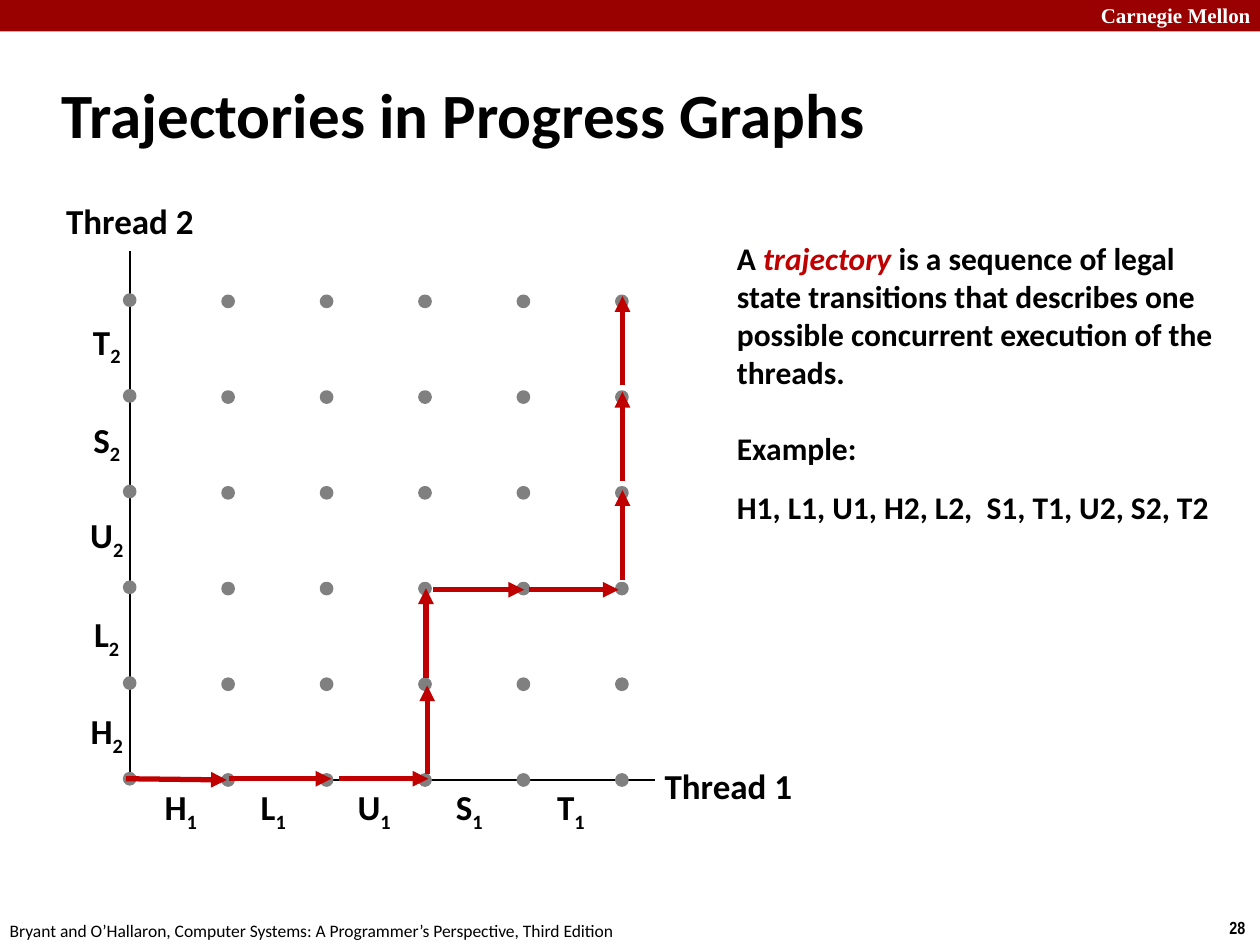
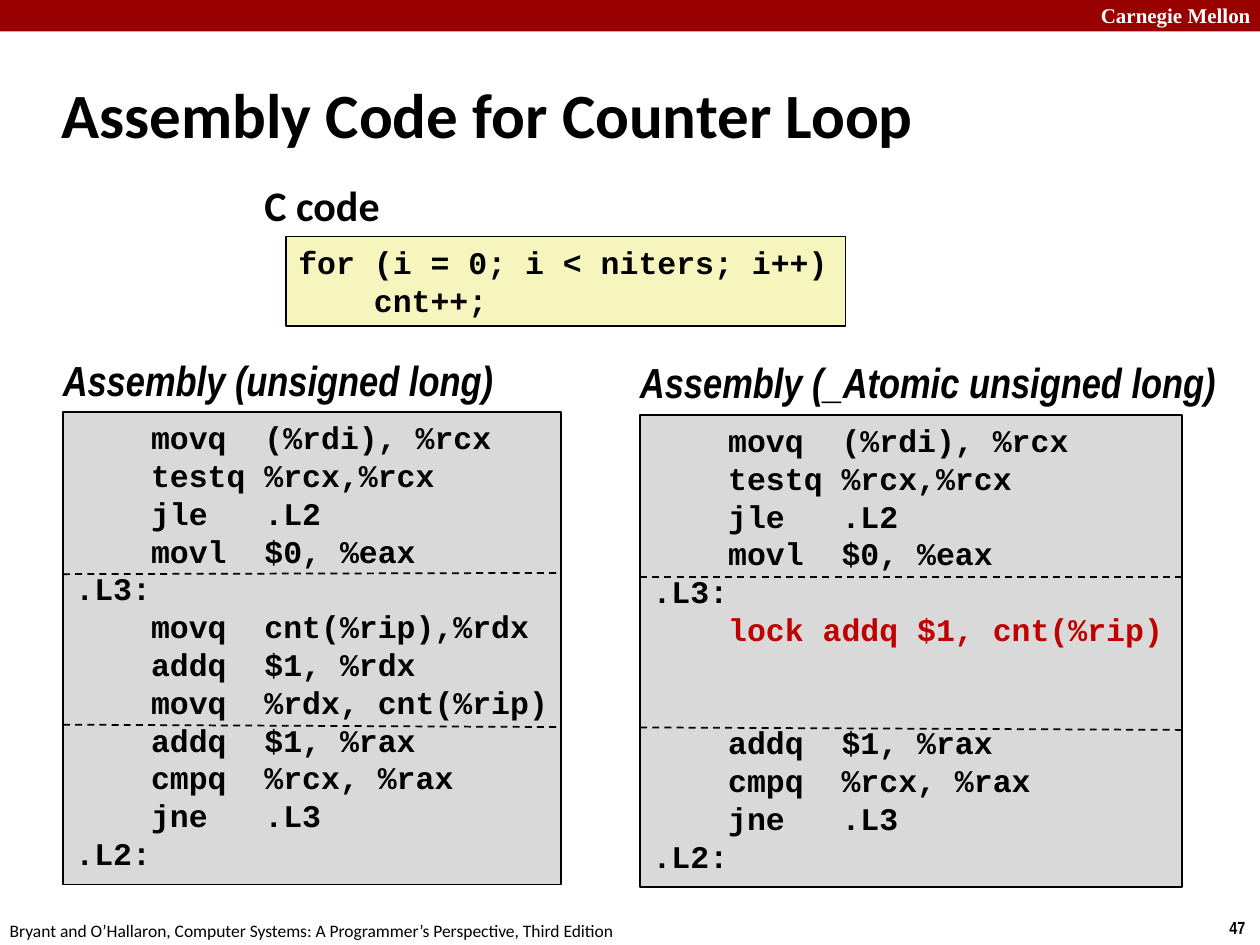
"""Build two lecture slides: a progress graph and a counter loop in assembly."""
from lxml import etree
from pptx import Presentation
from pptx import util as u
from pptx.dml import color
from pptx.enum import dml, shapes, text
from pptx.oxml import ns

Pt = u.Pt
rgb = color.RGBColor.from_string
RED, BLACK, GRAY, DOT = "C00000", "000000", "D9D9D9", "808080"
MID, LEFT, MONO = text.MSO_ANCHOR.MIDDLE, text.PP_ALIGN.LEFT, "Courier New"


def put(sld, box, lines=(), size=18, face="Calibri", ink=BLACK, bold=True, slant=False,
        wrap=False, anchor=MID, align=LEFT, fill=None, edge=None, thick=1, form="RECTANGLE"):
    """Add a text box, or a filled shape, holding lines made of lists of runs."""
    area = [Pt(n) for n in box]
    if fill:
        shape = sld.shapes.add_shape(shapes.MSO_SHAPE[form], *area)
        shape.shadow.inherit = False
        shape.fill.solid()
        shape.fill.fore_color.rgb = rgb(fill)
        if edge:
            shape.line.color.rgb = rgb(edge)
            shape.line.width = Pt(thick)
        else:
            shape.line.fill.background()
    else:
        shape = sld.shapes.add_textbox(*area)
    frame = shape.text_frame
    frame.word_wrap = wrap
    frame.vertical_anchor = anchor
    for i, line in enumerate(lines):
        para = frame.add_paragraph() if i else frame.paragraphs[0]
        para.alignment = align
        font = para.font
        font.size, font.name, font.bold, font.italic = Pt(size), face, bold, slant
        font.color.rgb = rgb(ink)
        if face == MONO:
            para.line_spacing = Pt(21.6)
        for part in line:
            para.add_run().text = part
    return frame.paragraphs


def link(sld, ends, ink=BLACK, width=1, dash=False, arrow=False):
    """Draw a straight line, dashed or with an arrowhead if asked."""
    line = sld.shapes.add_connector(shapes.MSO_CONNECTOR.STRAIGHT, *[Pt(n) for n in ends])
    line.line.color.rgb = rgb(ink)
    line.line.width = Pt(width)
    if dash:
        line.line.dash_style = dml.MSO_LINE.DASH
    if arrow:
        etree.SubElement(line.line._get_or_add_ln(), ns.qn("a:tailEnd"), type="triangle")
    etree.SubElement(line._element.spPr, ns.qn("a:effectLst"))


prs = Presentation()
prs.slide_width, prs.slide_height = Pt(720), Pt(540)

pages = []
for title, number in (("Trajectories in Progress Graphs", "28"),
                      ("Assembly Code for Counter Loop", "47")):
    sld = prs.slides.add_slide(prs.slide_layouts[6])
    put(sld, (0, 0, 720, 18), fill="990000")
    put(sld, (622, -2, 103, 21.6), [["Carnegie Mellon"]], 12, "Times New Roman", "FFFFFF", wrap=True)
    put(sld, (695.5, 520.6, 24.5, 19.4), [[number]], 10, "Arial Narrow")
    put(sld, (-1.5, 522, 366, 19.4), [["Bryant and O’Hallaron, Computer Systems: "
        "A Programmer’s Perspective, Third Edition"]], 10, bold=False)
    put(sld, (28, 34.5, 598, 60), [[title]], 36, wrap=True)
    pages.append(sld)
graph, loop = pages

paras = put(graph, (414, 132.5, 300, 172), [
    ["A ", "trajectory", " is a sequence of legal state transitions that describes "
     "one possible concurrent execution of the threads."],
    ["Example:"],
    ["H1, L1, U1, H2, L2,  S1, T1, U2, S2, T2"]], wrap=True)
word = paras[0].runs[1].font
word.italic = True
word.color.rgb = rgb(RED)
paras[1].space_before = Pt(22)
paras[2].space_before = Pt(12)

link(graph, (74.2, 445.7, 374.4, 445.7))
link(graph, (74.2, 445.7, 74.2, 143.3))
steps = (("H", 34, 103.3, 419), ("L", 30, 156.2, 363.5), ("U", 35, 213.8, 307),
         ("S", 31, 268.2, 252.5), ("T", 32, 326.2, 196.5))
for name, wide, mid, high in steps:
    for digit, left, top in (("1", mid - wide / 2, 446.4), ("2", 61 - wide / 2, high - 16)):
        para = put(graph, (left, top, wide, 32), [[name, digit]], 20,
                   align=text.PP_ALIGN.CENTER)[0]
        para.runs[1]._r.get_or_add_rPr().set("baseline", "-25000")
for name, left, top in (("Thread 1", 372.5, 433), ("Thread 2", 30.5, 110.2)):
    put(graph, (left, top, 87.6, 32), [[name]], 20, align=text.PP_ALIGN.CENTER)

for col in range(6):
    base = 442.8 if col else 442.1
    for row in range(6):
        put(graph, (71.2 + 56.25 * col, base - 54.7 * row, 5.8, 5.8),
            fill=DOT, edge=DOT, thick=2, form="OVAL")

moves = ((72, 445, 129.6, 445.7), (131, 445, 189.4, 445), (193.7, 445, 244.8, 445),
         (244.1, 442.1, 244.1, 391.7), (243.4, 387.4, 243.4, 336.2),
         (247.7, 337, 299.5, 337), (302.4, 337, 353.5, 337),
         (355.7, 331.2, 355.7, 280.1), (355.7, 275, 355.7, 223.9),
         (355.7, 220.3, 355.7, 169.2))
for ends in moves:
    link(graph, ends, RED, 3, arrow=True)

put(loop, (163.4, 135.2, 319.8, 51), [["for (i = 0; i < niters; i++)"], ["    cnt++;"]],
    face=MONO, fill="F6F5BD", edge=BLACK)
put(loop, (144, 98.8, 382, 36), [["C code"]], 24, wrap=True)

head = [["    movq  (%rdi), %rcx"], ["    testq %rcx,%rcx"], ["    jle   .L2"],
        ["    movl  $0, %eax"], [".L3:"]]
tail = [["    addq  $1, %rax"], ["    cmpq  %rcx, %rax"], ["    jne   .L3"], [".L2:"]]
plain = [["    movq  cnt(%rip),%rdx"], ["    addq  $1, %rdx"], ["    movq  %rdx, cnt(%rip)"]]
atomic = [["    ", "lock addq $1, cnt(%rip)"]]
panels = (("Assembly (unsigned long)", 263.5, plain, 36, 235.4, 284.4, -0.7),
          ("Assembly (_Atomic unsigned long)", 347, atomic, 365.8, 237, 309.8, 0))
for name, span, body, left, top, wide, tilt in panels:
    paras = put(loop, (left, top, wide, 270), head + body + tail, face=MONO, wrap=True,
                anchor=text.MSO_ANCHOR.TOP, fill=GRAY, edge=BLACK)
    if body is atomic:
        paras[5].runs[1].font.color.rgb = rgb(RED)
        paras[6].space_before = Pt(43.2)
    for drop, lean in ((92.7, tilt), (178.7, 1.4)):
        link(loop, (left, top + drop, left + wide, top + drop + lean), dash=True)
    put(loop, (left - 7.2, top - 36.6, span, 36), [[name]], 24, "Arial Narrow", slant=True)

prs.save("out.pptx")
